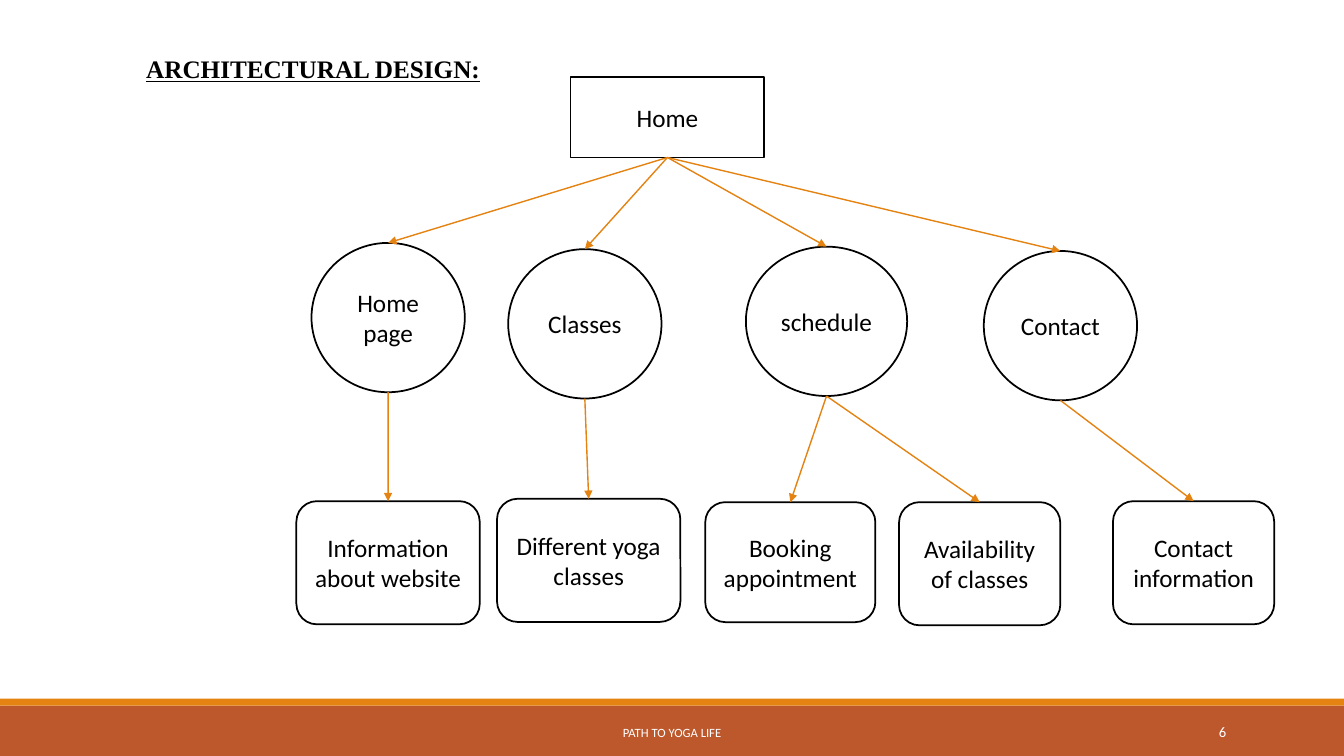
from dataclasses import dataclass

from lxml.etree import SubElement
from pptx import Presentation
from pptx.dml.color import RGBColor
from pptx.enum.shapes import MSO_CONNECTOR, MSO_SHAPE
from pptx.enum.text import MSO_ANCHOR, MSO_AUTO_SIZE, PP_ALIGN
from pptx.oxml.ns import qn
from pptx.shapes.autoshape import Shape
from pptx.slide import Slide
from pptx.util import Pt

COLORS = {
    "band": "BD582C",
    "accent": "E48312",
    "white": "FFFFFF",
    "black": "000000",
}
TOP, BOTTOM = 0, 2


@dataclass
class Node:
    text: str
    left: float
    top: float
    width: float
    height: float
    kind: MSO_SHAPE
    parent: str = ""


@dataclass
class FooterText:
    text: str
    left: float
    width: float
    size: float
    align: PP_ALIGN


RECTANGLE, CIRCLE, ROUNDED = MSO_SHAPE.RECTANGLE, MSO_SHAPE.OVAL, MSO_SHAPE.ROUNDED_RECTANGLE

# Every parent stands before its children.
NODES = [
    Node("Home", 407.5, 55.2, 138.5, 57.3, RECTANGLE),
    Node("Home page", 222.5, 173.5, 109.5, 106.7, CIRCLE, "Home"),
    Node("Classes", 363, 178, 109.5, 106.7, CIRCLE, "Home"),
    Node("schedule", 532.8, 176.2, 115.2, 106.7, CIRCLE, "Home"),
    Node("Contact", 702.7, 179.3, 109.5, 106.7, CIRCLE, "Home"),
    Node("Information about website", 211.7, 358, 131, 88, ROUNDED, "Home page"),
    Node("Different yoga classes", 355, 356.3, 131, 88, ROUNDED, "Classes"),
    Node("Booking appointment", 503.8, 358.7, 121.5, 85.7, ROUNDED, "schedule"),
    Node("Availability of classes", 642.2, 358.7, 115.2, 88, ROUNDED, "schedule"),
    Node("Contact information", 795, 358, 115.2, 88, ROUNDED, "Contact"),
]

FOOTER_TEXTS = [
    FooterText("PATH TO YOGA LIFE", 290, 380, 9, PP_ALIGN.CENTER),
    FooterText("6", 780, 103, 10.5, PP_ALIGN.RIGHT),
]


def color(name: str) -> RGBColor:
    return RGBColor.from_string(COLORS[name])


def write(shape: Shape, text: str, size: float, color_name: str, align: PP_ALIGN,
          anchor: MSO_ANCHOR = MSO_ANCHOR.MIDDLE, font_name: str = "Calibri",
          heading: bool = False) -> None:
    frame = shape.text_frame
    frame.text = text
    frame.word_wrap = True
    frame.vertical_anchor = anchor
    paragraph = frame.paragraphs[0]
    paragraph.alignment = align
    font = paragraph.runs[0].font
    font.name, font.size = font_name, Pt(size)
    font.bold = font.underline = heading
    font.color.rgb = color(color_name)


def add_title(slide: Slide) -> None:
    title = slide.shapes.title
    title.left, title.top, title.width, title.height = Pt(97.2), Pt(34.6), Pt(273), Pt(51)
    write(title, "ARCHITECTURAL DESIGN:", 18, "black", PP_ALIGN.LEFT,
          MSO_ANCHOR.TOP, "Times New Roman", heading=True)
    title.text_frame.auto_size = MSO_AUTO_SIZE.NONE


def add_band(slide: Slide, top: float, height: float, color_name: str) -> None:
    band = slide.shapes.add_shape(RECTANGLE, 0, Pt(top), Pt(960), Pt(height))
    band.shadow.inherit = False
    band.fill.solid()
    band.fill.fore_color.rgb = color(color_name)
    band.line.fill.background()


def add_footer(slide: Slide) -> None:
    add_band(slide, 504, 36, "band")
    add_band(slide, 499, 5, "accent")
    for item in FOOTER_TEXTS:
        box = slide.shapes.add_textbox(Pt(item.left), Pt(508.5), Pt(item.width), Pt(28.75))
        write(box, item.text, item.size, "white", item.align)


def add_node(slide: Slide, node: Node) -> Shape:
    shape = slide.shapes.add_shape(
        node.kind, Pt(node.left), Pt(node.top), Pt(node.width), Pt(node.height))
    shape.shadow.inherit = False
    shape.fill.solid()
    shape.fill.fore_color.rgb = color("white")
    shape.line.color.rgb = color("black")
    shape.line.width = Pt(1.25)
    write(shape, node.text, 18, "black", PP_ALIGN.CENTER)
    return shape


def add_arrow(slide: Slide, parent: Shape, child: Shape) -> None:
    """Draw an arrow from the parent's bottom to the child's top."""
    arrow = slide.shapes.add_connector(
        MSO_CONNECTOR.STRAIGHT,
        parent.left + parent.width // 2, parent.top + parent.height,
        child.left + child.width // 2, child.top)
    # A circle numbers its connection sites differently below the top.
    if parent.auto_shape_type == RECTANGLE:
        arrow.begin_connect(parent, BOTTOM)
    arrow.end_connect(child, TOP)
    arrow.line.color.rgb = color("accent")
    arrow.line.width = Pt(1)
    SubElement(arrow.line._get_or_add_ln(), qn("a:tailEnd"), type="triangle")
    SubElement(arrow._element.spPr, qn("a:effectLst"))


def main() -> None:
    presentation = Presentation()
    presentation.slide_width, presentation.slide_height = Pt(960), Pt(540)
    slide = presentation.slides.add_slide(presentation.slide_layouts[5])
    add_footer(slide)
    add_title(slide)
    shapes: dict[str, Shape] = {}
    for node in NODES:
        shapes[node.text] = add_node(slide, node)
        if node.parent:
            add_arrow(slide, shapes[node.parent], shapes[node.text])
    presentation.save("out.pptx")


if __name__ == "__main__":
    main()
